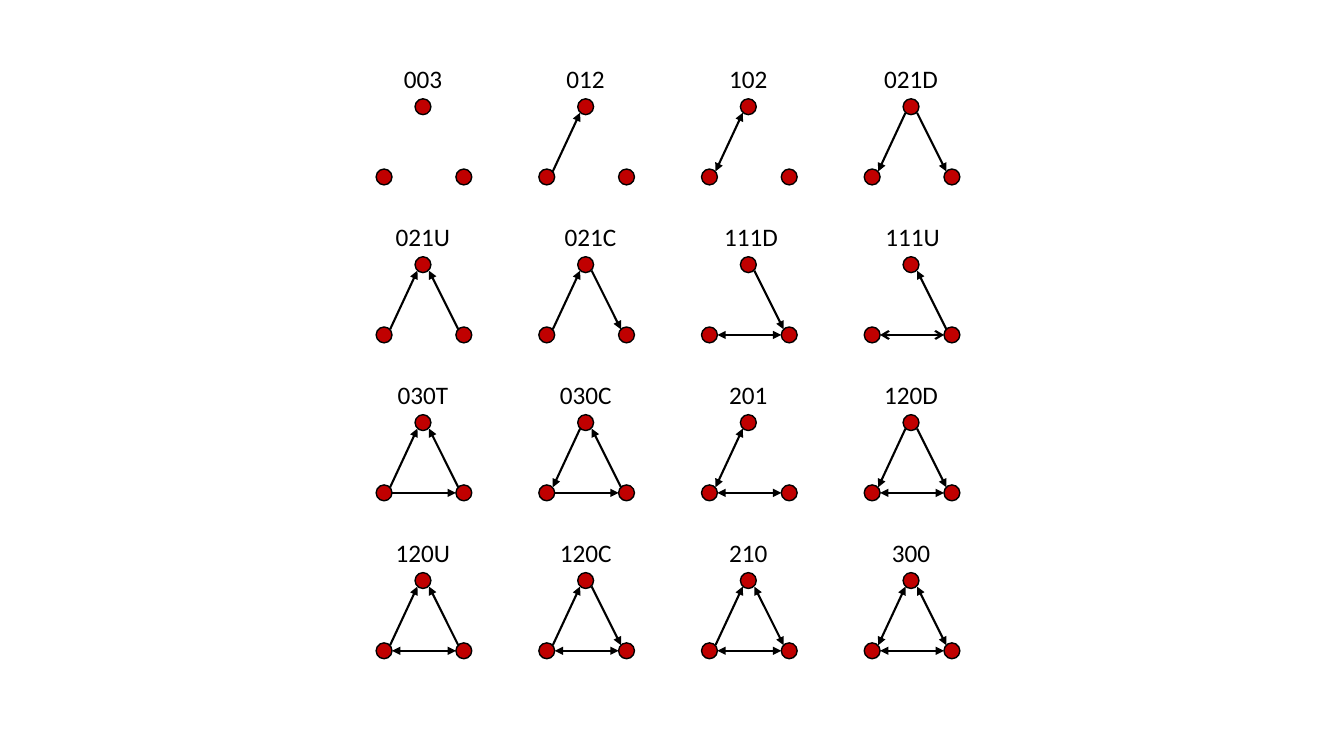
from lxml import etree
from pptx import Presentation
from pptx.dml.color import RGBColor
from pptx.enum.shapes import MSO_CONNECTOR, MSO_SHAPE
from pptx.enum.text import MSO_AUTO_SIZE, PP_ALIGN
from pptx.oxml.ns import qn
from pptx.util import Cm, Pt

ELLIPSE = MSO_SHAPE.OVAL
STRAIGHT = MSO_CONNECTOR.STRAIGHT
CENTER = PP_ALIGN.CENTER
FIT_SHAPE = MSO_AUTO_SIZE.SHAPE_TO_FIT_TEXT

BLACK = "000000"
RED = "C00000"

GRID_LEFT, GRID_TOP = 9.48, 2.49
COLUMN_STEP, ROW_STEP = 4.1, 3.98
COLUMNS = 4

NODE_SIZE = 0.4
NODES = [(0, 1.77), (2.01, 1.77), (0.98, 0)]
LEFT_SIDE = (0.35, 1.83, 1.04, 0.35)
RIGHT_SIDE = (1.33, 0.35, 2.07, 1.83)
BASE = (0.4, 1.97, 2.01, 1.97)

LABEL_RISE, LABEL_HEIGHT = 1.02, 1.02
LABEL_SHIFTS = {"021C": 0.12, "111D": 0.07, "111U": 0.04}

ARROWHEADS = {
    "<": ("a:headEnd", "triangle"),
    ">": ("a:tailEnd", "triangle"),
    "«": ("a:headEnd", "arrow"),
    "»": ("a:tailEnd", "arrow"),
}

TRIADS = [
    ("003", "", "", ""),
    ("012", ">", "", ""),
    ("102", "<>", "", ""),
    ("021D", "<", ">", ""),
    ("021U", ">", "<", ""),
    ("021C", ">", ">", ""),
    ("111D", "", ">", "<>"),
    ("111U", "", "<", "«»"),
    ("030T", ">", "<", ">"),
    ("030C", "<", "<", ">"),
    ("201", "<>", "", "<>"),
    ("120D", "<", ">", "<>"),
    ("120U", ">", "<", "<>"),
    ("120C", ">", ">", "<>"),
    ("210", ">", "<>", "<>"),
    ("300", "<>", "<>", "<>"),
]


def color(value):
    return RGBColor.from_string(value)


def add_node(shapes, left, top):
    node = shapes.add_shape(ELLIPSE, Cm(left), Cm(top), Cm(NODE_SIZE), Cm(NODE_SIZE))
    node.shadow.inherit = False
    node.fill.solid()
    node.fill.fore_color.rgb = color(RED)
    node.line.color.rgb = color(BLACK)
    node.line.width = Pt(1)


def add_edge(shapes, left, top, side, heads):
    start_x, start_y, end_x, end_y = side
    edge = shapes.add_connector(
        STRAIGHT,
        Cm(left + start_x),
        Cm(top + start_y),
        Cm(left + end_x),
        Cm(top + end_y),
    )
    edge.line.color.rgb = color(BLACK)
    edge.line.width = Pt(1.5)
    properties = edge.element.spPr
    outline = properties.find(qn("a:ln"))
    for head in heads:
        tag, kind = ARROWHEADS[head]
        etree.SubElement(outline, qn(tag)).set("type", kind)
    etree.SubElement(properties, qn("a:effectLst"))


def add_label(shapes, center, top, name):
    width = 1.5 if name.isdigit() else 1.88
    box = shapes.add_textbox(
        Cm(center - width / 2), Cm(top), Cm(width), Cm(LABEL_HEIGHT)
    )
    frame = box.text_frame
    frame.text = name
    frame.word_wrap = False
    frame.auto_size = FIT_SHAPE
    para = frame.paragraphs[0]
    para.alignment = CENTER
    span = para.runs[0]
    span.font.name = "Calibri"
    span.font.size = Pt(18)
    span.font.color.rgb = color(BLACK)


def add_triad(page, left, top, name, *edges):
    shapes = page.shapes.add_group_shape().shapes
    for node_x, node_y in NODES:
        add_node(shapes, left + node_x, top + node_y)
    for side, heads in zip((LEFT_SIDE, RIGHT_SIDE, BASE), edges):
        if heads:
            add_edge(shapes, left, top, side, heads)
    apex = left + NODES[2][0] + NODE_SIZE / 2
    center = apex + LABEL_SHIFTS.get(name, 0)
    add_label(shapes, center, top - LABEL_RISE, name)


def main():
    deck = Presentation()
    deck.slide_width = Cm(33.87)
    deck.slide_height = Cm(19.05)
    page = deck.slides.add_slide(deck.slide_layouts[6])
    for index, triad in enumerate(TRIADS):
        row, column = divmod(index, COLUMNS)
        left = GRID_LEFT + column * COLUMN_STEP
        top = GRID_TOP + row * ROW_STEP
        add_triad(page, left, top, *triad)
    deck.save("out.pptx")


if __name__ == "__main__":
    main()
